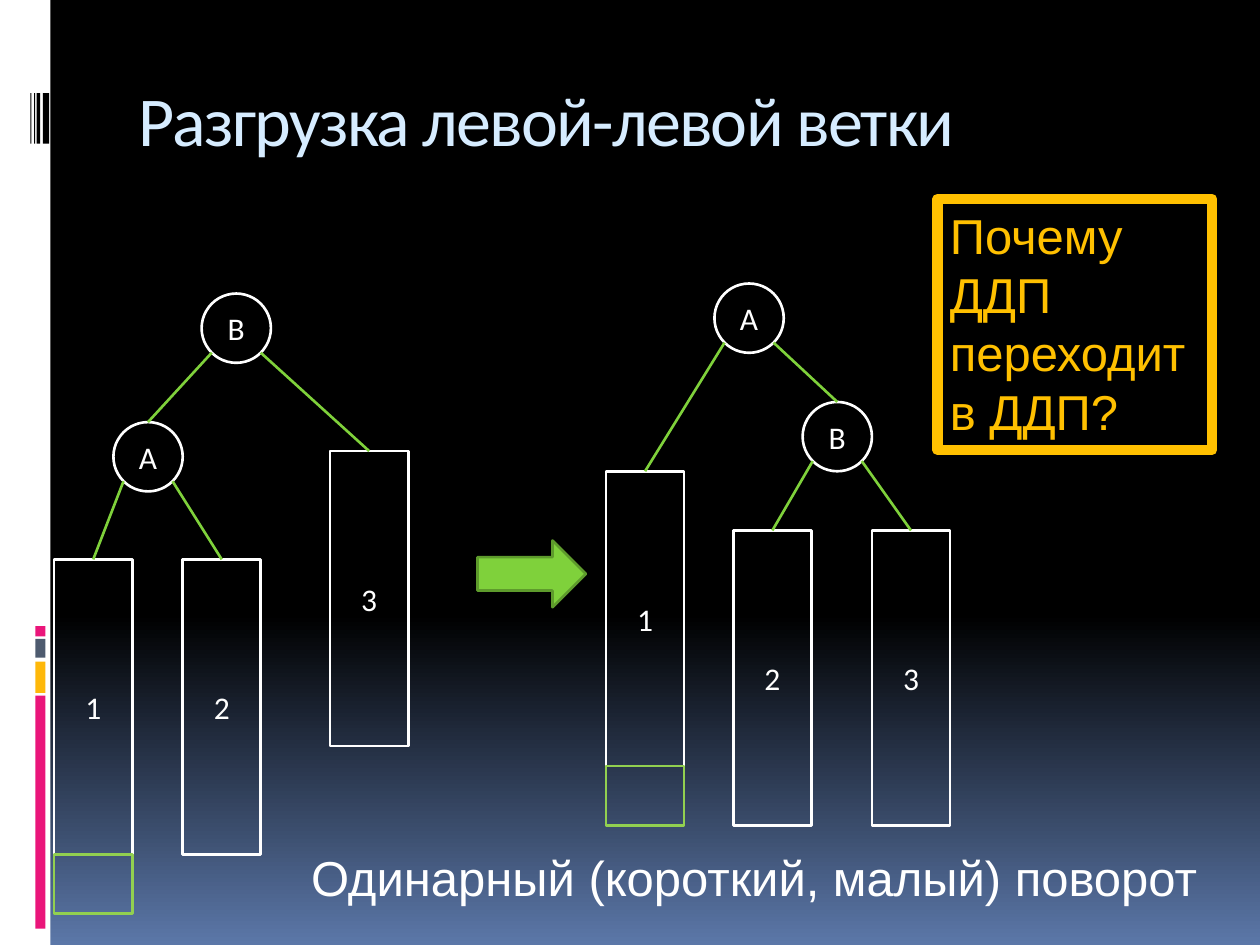
from copy import deepcopy
from math import sqrt

from lxml.etree import SubElement
from pptx import Presentation
from pptx.dml.color import RGBColor
from pptx.enum.shapes import MSO_CONNECTOR, MSO_SHAPE
from pptx.enum.text import MSO_ANCHOR, MSO_AUTO_SIZE, PP_ALIGN
from pptx.oxml.ns import qn
from pptx.util import Inches, Pt

BLACK = RGBColor(0x00, 0x00, 0x00)
WHITE = RGBColor(0xFF, 0xFF, 0xFF)
DUSK = RGBColor(0x5B, 0x77, 0xA8)
PINK = RGBColor(0xEA, 0x15, 0x7A)
AMBER = RGBColor(0xFE, 0xB8, 0x0A)
SLATE = RGBColor(0x4E, 0x5B, 0x6F)
ICE = RGBColor(0xD6, 0xEC, 0xFF)
GREEN = RGBColor(0x7F, 0xD1, 0x3B)
DARK_GREEN = RGBColor(0x5E, 0x9B, 0x2C)
LIME = RGBColor(0x92, 0xD0, 0x50)
GOLD = RGBColor(0xFF, 0xC0, 0x00)

# The grid has 100 columns and 75 rows
COLUMNS, ROWS = 100, 75
NODE = 5.5
BAR_WIDTH, BAR_HEIGHT, EXTRA_HEIGHT = 6.2, 23.4, 4.7


class TreeSlide:
    heading_font, body_font = "Calibri", "Arial"
    thin = Pt(1.5)

    def __init__(self, deck):
        self.page = deck.slides.add_slide(deck.slide_layouts[6])
        self.column = deck.slide_width / COLUMNS
        self.row = deck.slide_height / ROWS

    def place(self, left, top, width, height):
        return (round(left * self.column), round(top * self.row),
                round(width * self.column), round(height * self.row))

    def background(self, stops):
        fill = self.page.background.fill
        fill.gradient()
        fill.gradient_angle = 270
        first = fill.gradient_stops[0]._gs
        first.addnext(deepcopy(first))
        for stop, (position, color) in zip(fill.gradient_stops, stops):
            stop.position, stop.color.rgb = position, color

    def shape(self, kind, area, fill=None, line=None, width=None, parent=None):
        box = (parent or self.page).shapes.add_shape(kind, *self.place(*area))
        box.shadow.inherit = False
        for paint, color in ((box.fill, fill), (box.line.fill, line)):
            if color is None:
                paint.background()
            else:
                paint.solid()
                paint.fore_color.rgb = color
        if line is not None:
            box.line.width = width or self.thin
        return box

    def put_text(self, box, text, size, font, color, align=PP_ALIGN.LEFT,
                 anchor=MSO_ANCHOR.TOP, wrap=True):
        frame = box.text_frame
        frame.word_wrap, frame.vertical_anchor = wrap, anchor
        para = frame.paragraphs[0]
        para.alignment = align
        para.font.size, para.font.name = Pt(size), font
        para.font.color.rgb = color
        span = para.add_run()
        span.text = text
        return span

    def text(self, area, *style, **options):
        box = self.page.shapes.add_textbox(*self.place(*area))
        return self.put_text(box, *style, **options)

    def labelled(self, kind, area, label, parent):
        box = self.shape(kind, area, line=WHITE, parent=parent)
        self.put_text(box, label, 18, self.heading_font, WHITE,
                      PP_ALIGN.CENTER, MSO_ANCHOR.MIDDLE)
        return box

    def branch(self, parent, node, child):
        """Join the lower left or right of a node to the top of its child."""
        radius = node.width / 2
        center = node.left + radius
        target = child.left + child.width // 2
        reach = radius / sqrt(2)
        start = center + (reach if target > center else -reach)
        line = parent.shapes.add_connector(
            MSO_CONNECTOR.STRAIGHT, round(start),
            round(node.top + radius + reach), target, child.top)
        line.end_connect(child, 0)
        line.line.color.rgb, line.line.width = GREEN, self.thin
        SubElement(line._element.spPr, qn("a:effectLst"))

    def tree(self, parent, nodes, bars, edges):
        parts = {}
        for label, (left, top) in nodes.items():
            parts[label] = self.labelled(
                MSO_SHAPE.OVAL, (left, top, NODE, NODE), label, parent)
        for label, (left, top) in bars.items():
            parts[label] = self.labelled(
                MSO_SHAPE.RECTANGLE, (left, top, BAR_WIDTH, BAR_HEIGHT), label, parent)
        # The added level hangs under the first subtree
        left, top = bars["1"]
        self.shape(MSO_SHAPE.RECTANGLE,
                   (left, top + BAR_HEIGHT, BAR_WIDTH, EXTRA_HEIGHT),
                   line=LIME, parent=parent)
        for node, child in edges:
            self.branch(parent, parts[node], parts[child])


def main():
    deck = Presentation()
    deck.slide_width, deck.slide_height = Inches(10), Inches(7.5)
    slide = TreeSlide(deck)
    slide.background([(0, BLACK), (0.65, BLACK), (1, DUSK)])

    # Side strip with coloured blocks and bar marks
    slide.shape(MSO_SHAPE.RECTANGLE, (0, 0, 4, ROWS), WHITE)
    for top, height, color in ((55.2, 18.5, PINK), (52.5, 2.5, AMBER),
                               (50.7, 1.5, SLATE), (49.7, 0.8, PINK)):
        slide.shape(MSO_SHAPE.RECTANGLE, (2.8, top, 0.8, height), color)
    for left, width in ((3.4, 0.5), (2.9, 0.3), (2.7, 0.1), (2.4, 0.1)):
        slide.shape(MSO_SHAPE.RECTANGLE, (left, 7.4, width, 4), BLACK)

    # Tree before the rotation
    slide.tree(slide.page,
               {"B": (16, 23.3), "A": (9, 33.5)},
               {"1": (4.3, 44.4), "2": (14.5, 44.4), "3": (26.2, 35.8)},
               ["A1", "A2", "BA", "B3"])

    # Tree after the rotation
    slide.tree(slide.page.shapes.add_group_shape(),
               {"B": (63.7, 31.9), "A": (56.7, 22.5)},
               {"1": (48.1, 37.4), "2": (58.2, 42.1), "3": (69.2, 42.1)},
               ["A1", "B2", "AB", "B3"])
    slide.shape(MSO_SHAPE.RIGHT_ARROW, (37.9, 42.9, 8.6, 5.3), GREEN, DARK_GREEN)

    # Title, question and caption
    title = slide.text((10, 5.6, 85, 10), "Разгрузка левой-левой ветки", 40,
                       slide.heading_font, ICE)
    title._r.get_or_add_rPr().set("spc", "-100")
    question = slide.shape(MSO_SHAPE.RECTANGLE, (74.4, 15.8, 21.8, 19.9),
                           line=GOLD, width=Pt(6))
    slide.put_text(question, "Почему ДДП переходит в ДДП?", 28, slide.body_font, GOLD)
    question.text_frame.auto_size = MSO_AUTO_SIZE.SHAPE_TO_FIT_TEXT
    slide.text((23.7, 66.8, 73.9, 5.7), "Одинарный (короткий, малый) поворот",
               28, slide.body_font, WHITE, wrap=False)

    deck.save("out.pptx")


if __name__ == "__main__":
    main()
